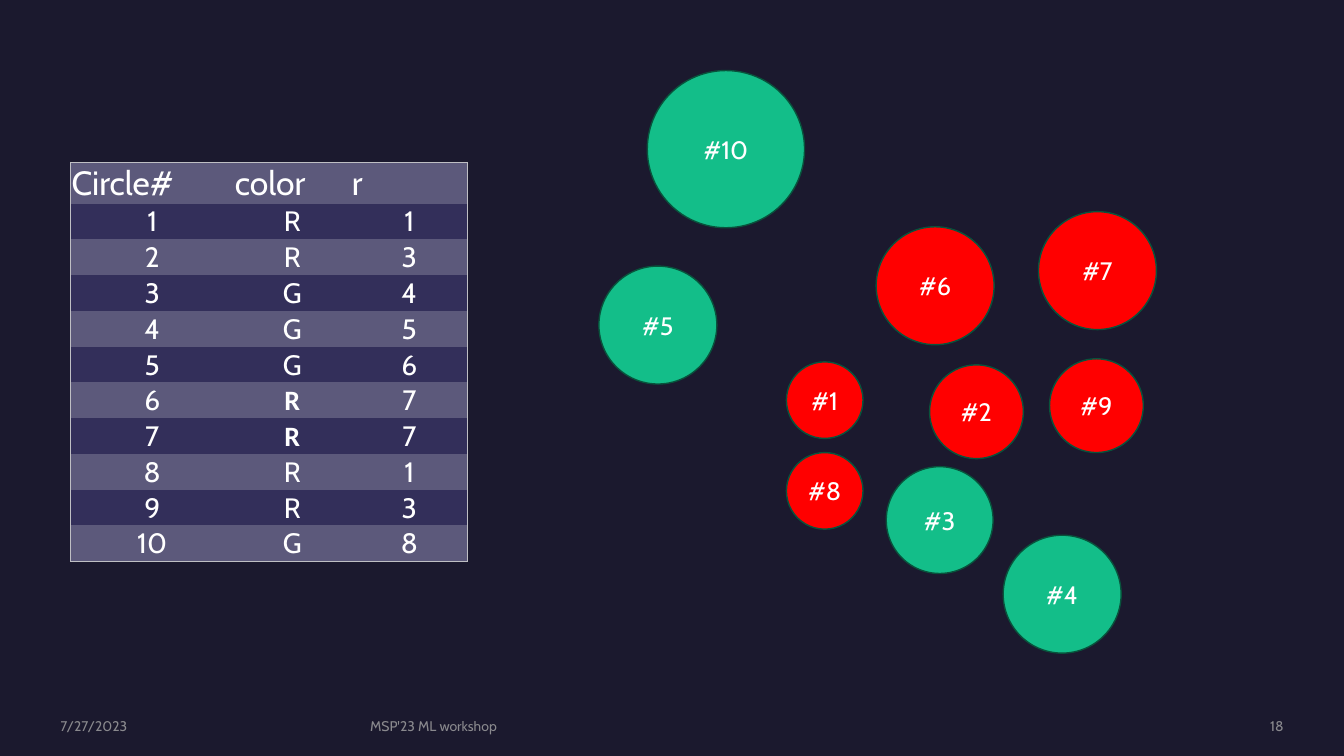
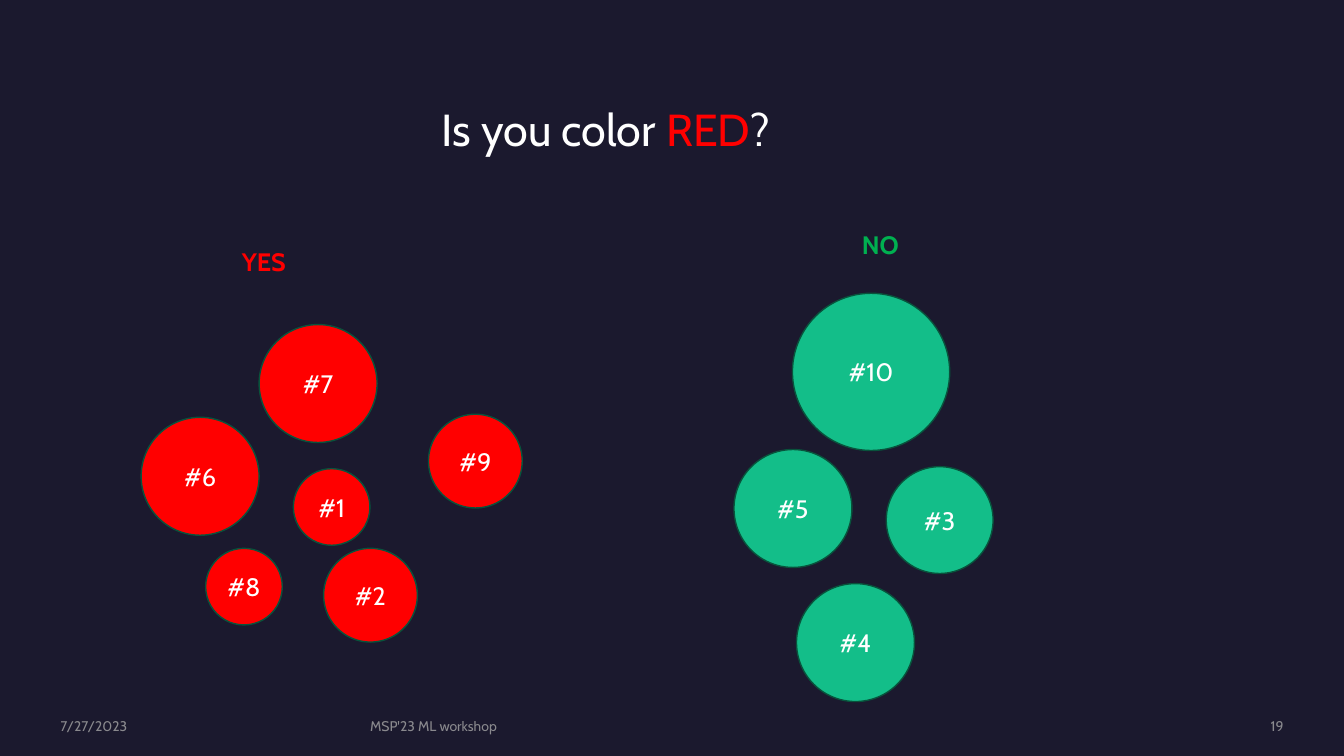
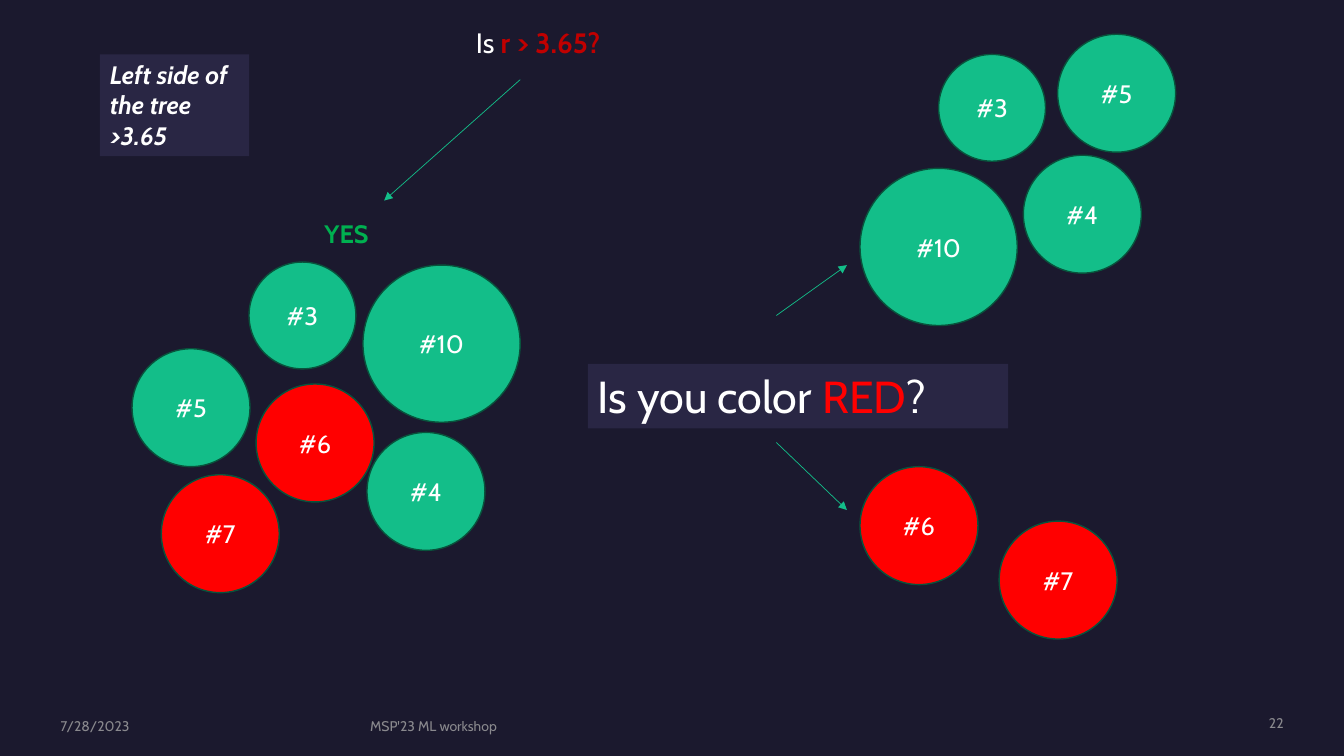
import dataclasses

import lxml.etree
import pptx
import pptx.dml.color
import pptx.enum.shapes
import pptx.enum.text
import pptx.oxml.ns
import pptx.util

Inches = pptx.util.Inches
ALIGN = pptx.enum.text.PP_ALIGN
ANCHOR = pptx.enum.text.MSO_ANCHOR
FIT = pptx.enum.text.MSO_AUTO_SIZE
SHAPE = pptx.enum.shapes.MSO_SHAPE


@dataclasses.dataclass(frozen=True)
class Theme:
    background: str = "1B192E"
    panel: str = "292644"
    row_dark: str = "332F5A"
    row_light: str = "5C597B"
    border: str = "BFBFC4"
    text: str = "FFFFFF"
    footer: str = "A6A6A6"
    footer_opacity: int = 80
    red: str = "FF0000"
    dark_red: str = "C00000"
    green: str = "13BE89"
    circle_line: str = "08533C"
    answer_green: str = "00B050"
    font: str = "Cabin"
    bold_cell_font: str = "Calibri"
    footer_size: int = 10
    label_size: int = 18
    cell_size: int = 20
    header_size: int = 24
    question_size: int = 32
    thin_line: float = 0.5
    circle_line_width: float = 1


THEME = Theme()
BLANK_LAYOUT, TITLE_LAYOUT = 6, 5

# number: (color, r)
CIRCLES = {
    1: ("R", 1), 2: ("R", 3), 3: ("G", 4), 4: ("G", 5), 5: ("G", 6),
    6: ("R", 7), 7: ("R", 7), 8: ("R", 1), 9: ("R", 3), 10: ("G", 8),
}
BOLD_COLOR_ROWS = (6, 7)
DIAMETERS = {1: 0.76, 3: 0.93, 4: 1.06, 5: 1.17, 6: 1.17, 7: 1.17, 8: 1.56}
FILLS = {"R": THEME.red, "G": THEME.green}

COLOR_QUESTION = (("Is you color ", {}), ("RED", {"color": THEME.red}), ("?", {}))


def rgb(value):
    return pptx.dml.color.RGBColor.from_string(value)


def inches(*lengths):
    return [Inches(length) for length in lengths]


def set_attributes(target, values):
    for name, value in values.items():
        setattr(target, name, value)


def write_runs(paragraph, runs, size, alignment=ALIGN.LEFT, **font_values):
    """Add (text, font overrides) runs on top of the shared font."""
    paragraph.alignment = alignment
    for text, overrides in runs:
        run = paragraph.add_run()
        run.text = text
        values = {"name": THEME.font, "size": pptx.util.Pt(size),
                  "color": THEME.text, **font_values, **overrides}
        run.font.color.rgb = rgb(values.pop("color"))
        set_attributes(run.font, values)


def add_xml(parent, tag, **attributes):
    return lxml.etree.SubElement(parent, pptx.oxml.ns.qn(tag), attributes)


def add_footer_text(slide, box, text, alignment=ALIGN.LEFT):
    frame = slide.shapes.add_textbox(*inches(*box)).text_frame
    set_attributes(frame, {
        "word_wrap": True, "vertical_anchor": ANCHOR.MIDDLE,
        "margin_left": 0, "margin_right": 0, "margin_top": 0, "margin_bottom": 0,
    })
    write_runs(frame.paragraphs[0], [(text, {})], THEME.footer_size,
               alignment, color=THEME.footer)
    for color in frame.paragraphs[0].runs[0].font.fill._xPr.iter(pptx.oxml.ns.qn("a:srgbClr")):
        add_xml(color, "a:alpha", val=str(THEME.footer_opacity * 1000))


def add_footer(slide, date, number, number_top=7.12):
    add_footer_text(slide, (0.6, 7.12, 2.88, 0.17), date)
    add_footer_text(slide, (3.67, 7.12, 6.98, 0.17), "MSP'23 ML workshop")
    add_footer_text(slide, (10.88, number_top, 1.85, 0.17), number, ALIGN.RIGHT)


def fill_text(shape, runs, size, **font_values):
    set_attributes(shape.text_frame, {
        "word_wrap": True, "vertical_anchor": ANCHOR.TOP,
        "auto_size": FIT.SHAPE_TO_FIT_TEXT,
    })
    write_runs(shape.text_frame.paragraphs[0], runs, size, **font_values)


def place_title(slide, box, runs, size):
    title = slide.shapes.title
    set_attributes(title, dict(zip(("left", "top", "width", "height"), inches(*box))))
    fill_text(title, runs, size)


def add_answer(slide, box, text, color):
    shape = slide.shapes.add_textbox(*inches(*box))
    fill_text(shape, [(text, {})], THEME.label_size, color=color, bold=True)


def add_panel(slide, box, runs, size, **font_values):
    panel = slide.shapes.add_shape(SHAPE.RECTANGLE, *inches(*box))
    panel.shadow.inherit = False
    panel.fill.solid()
    panel.fill.fore_color.rgb = rgb(THEME.panel)
    panel.line.fill.background()
    fill_text(panel, runs, size, **font_values)


def add_circles(slide, left, top, offsets):
    """Place numbered circles at offsets from the cluster's top left corner."""
    for number, (across, down) in offsets.items():
        color, radius = CIRCLES[number]
        diameter = DIAMETERS[radius]
        circle = slide.shapes.add_shape(
            SHAPE.OVAL, *inches(left + across, top + down, diameter, diameter))
        circle.shadow.inherit = False
        circle.fill.solid()
        circle.fill.fore_color.rgb = rgb(FILLS[color])
        circle.line.color.rgb = rgb(THEME.circle_line)
        circle.line.width = pptx.util.Pt(THEME.circle_line_width)
        set_attributes(circle.text_frame, {
            "word_wrap": False, "vertical_anchor": ANCHOR.MIDDLE})
        write_runs(circle.text_frame.paragraphs[0], [(f"#{number}", {})],
                   THEME.label_size, ALIGN.CENTER)


def add_arrow(slide, start, end):
    arrow = slide.shapes.add_connector(
        pptx.enum.shapes.MSO_CONNECTOR.STRAIGHT, *inches(*start, *end))
    arrow.line.color.rgb = rgb(THEME.green)
    arrow.line.width = pptx.util.Pt(THEME.thin_line)
    add_xml(arrow.line._get_or_add_ln(), "a:tailEnd", type="triangle")
    add_xml(arrow._element.spPr, "a:effectLst")


def set_borders(cell, outer_sides):
    """Draw the outer sides of a cell and clear the others."""
    properties = cell._tc.get_or_add_tcPr()
    for side in "LRTB":
        width = str(pptx.util.Pt(THEME.thin_line))
        line = add_xml(properties, f"a:ln{side}", w=width)
        if side in outer_sides:
            add_xml(add_xml(line, "a:solidFill"), "a:srgbClr", val=THEME.border)
        else:
            add_xml(line, "a:noFill")


def add_circle_table(slide, left, top, width, height):
    rows = [("Circle#", "color", "r")]
    rows += [(number, *values) for number, values in CIRCLES.items()]
    last_row, last_column = len(rows) - 1, len(rows[0]) - 1
    table = slide.shapes.add_table(
        len(rows), len(rows[0]), *inches(left, top, width, height)).table
    set_attributes(table, {"first_row": False, "horz_banding": False})

    first_width, header_height = 1.62, 0.41
    for index, column in enumerate(table.columns):
        column.width = Inches((width - first_width) / last_column if index else first_width)
    for index, row in enumerate(table.rows):
        row.height = Inches((height - header_height) / last_row if index else header_height)

    for row_index, values in enumerate(rows):
        is_header = row_index == 0
        for column_index, value in enumerate(values):
            cell = table.cell(row_index, column_index)
            edges = {"L": column_index == 0, "R": column_index == last_column,
                     "T": is_header, "B": row_index == last_row}
            set_borders(cell, [side for side, outer in edges.items() if outer])
            cell.fill.solid()
            cell.fill.fore_color.rgb = rgb(
                THEME.row_dark if row_index % 2 else THEME.row_light)
            set_attributes(cell, {
                "margin_left": Inches(0.01), "margin_right": Inches(0.01),
                "margin_top": Inches(0.01), "margin_bottom": 0,
                "vertical_anchor": ANCHOR.BOTTOM if is_header else ANCHOR.MIDDLE,
            })
            is_bold = column_index == 1 and row_index in BOLD_COLOR_ROWS
            overrides = {"name": THEME.bold_cell_font, "bold": True} if is_bold else {}
            write_runs(cell.text_frame.paragraphs[0], [(str(value), overrides)],
                       THEME.header_size if is_header else THEME.cell_size,
                       ALIGN.LEFT if is_header else ALIGN.CENTER)


def build_data_slide(slide):
    add_footer(slide, "7/27/2023", "18")
    add_circle_table(slide, 0.7, 1.61, 3.94, 3.96)
    add_circles(slide, 5.94, 0.7, {
        10: (0.48, 0), 2: (3.28, 2.92), 6: (2.75, 1.55), 7: (4.36, 1.4),
        9: (4.47, 2.86), 1: (1.86, 2.89), 8: (1.86, 3.79), 5: (0, 1.94),
        3: (2.85, 3.93), 4: (4.01, 4.61)})


def build_color_split_slide(slide):
    place_title(slide, (4.28, 0.96, 4.17, 0.64), COLOR_QUESTION, THEME.question_size)
    add_footer(slide, "7/27/2023", "19")
    add_circles(slide, 1.4, 3.22, {
        2: (1.81, 2.22), 6: (0, 0.92), 7: (1.17, 0), 9: (2.85, 0.89),
        1: (1.51, 1.43), 8: (0.64, 2.22)})
    add_circles(slide, 7.28, 2.91, {
        10: (0.58, 0), 5: (0, 1.55), 3: (1.51, 1.72), 4: (0.62, 2.88)})
    add_answer(slide, (2.3, 2.39, 1.17, 0.4), "YES", THEME.red)
    add_answer(slide, (8.45, 2.23, 1.05, 0.4), "NO", THEME.answer_green)


def build_left_branch_slide(slide):
    radius_question = (("Is ", {}), ("r > 3.65?", {"color": THEME.dark_red, "bold": True}))
    place_title(slide, (4.62, 0.2, 3.59, 0.44), radius_question, THEME.cell_size)
    add_footer(slide, "7/28/2023", "22", number_top=7.09)
    add_answer(slide, (3.12, 2.12, 1.2, 0.4), "YES", THEME.answer_green)
    add_circles(slide, 1.31, 2.6, {
        3: (1.16, 0), 4: (2.33, 1.69), 5: (0, 0.86), 6: (1.23, 1.21),
        7: (0.29, 2.11), 10: (2.29, 0.03)})
    add_panel(slide, (5.83, 3.61, 4.17, 0.64), COLOR_QUESTION, THEME.question_size)
    add_circles(slide, 8.53, 4.63, {6: (0, 0), 7: (1.38, 0.54)})
    add_circles(slide, 8.53, 0.34, {
        10: (0, 1.33), 4: (1.62, 1.2), 3: (0.78, 0.2), 5: (1.96, 0)})
    for start, end in (((5.16, 0.79), (3.81, 1.99)),
                       ((7.7, 3.13), (8.4, 2.63)),
                       ((7.7, 4.39), (8.4, 5.06))):
        add_arrow(slide, start, end)
    add_panel(slide, (0.99, 0.54, 1.48, 1.01), [("Left side of the tree >3.65", {})],
              THEME.label_size, bold=True, italic=True)


def main():
    presentation = pptx.Presentation()
    presentation.slide_width, presentation.slide_height = inches(13.33, 7.5)
    background = presentation.slide_master.background.fill
    background.solid()
    background.fore_color.rgb = rgb(THEME.background)
    for build, layout in ((build_data_slide, BLANK_LAYOUT),
                          (build_color_split_slide, TITLE_LAYOUT),
                          (build_left_branch_slide, TITLE_LAYOUT)):
        build(presentation.slides.add_slide(presentation.slide_layouts[layout]))
    presentation.save("out.pptx")


if __name__ == "__main__":
    main()
